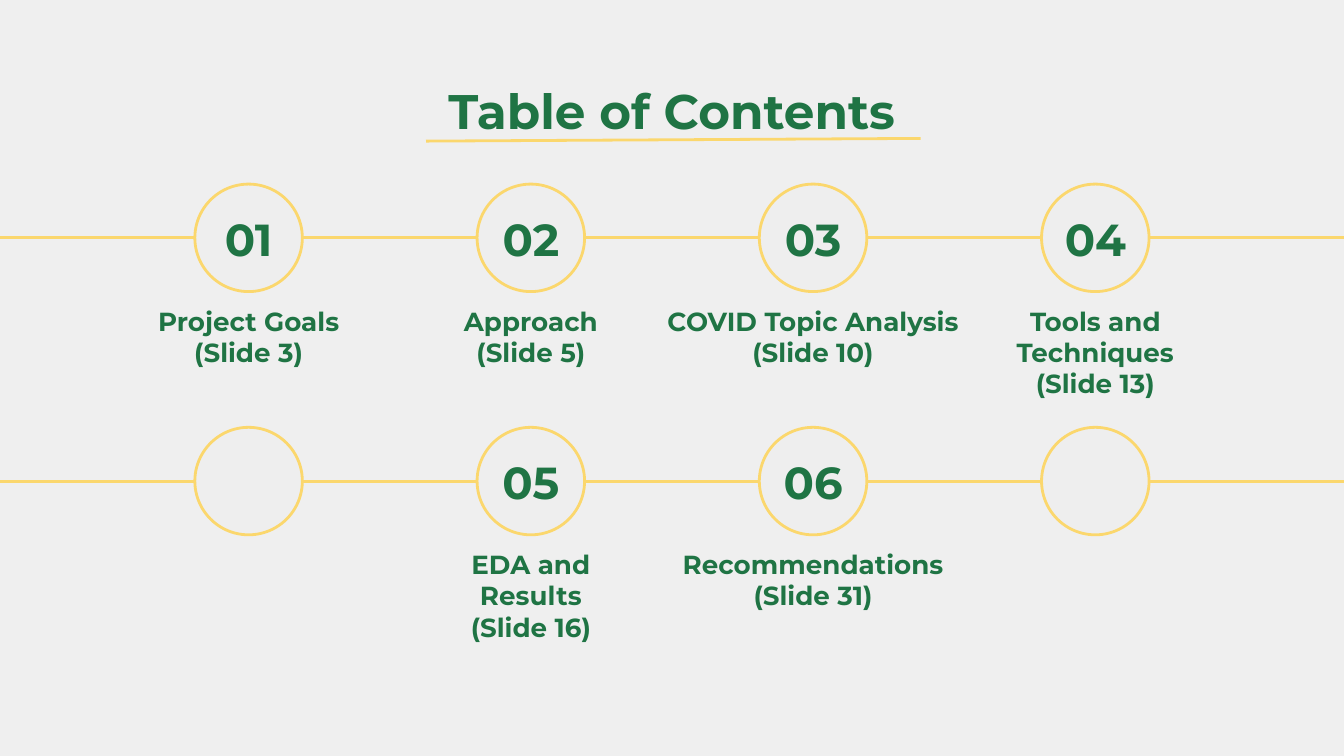
from dataclasses import dataclass

from lxml import etree
from pptx import Presentation
from pptx import util as u
from pptx.dml.color import RGBColor
from pptx.enum import shapes, text
from pptx.oxml import ns

GREEN = RGBColor(0x1F, 0x74, 0x44)
YELLOW = RGBColor(0xFB, 0xD7, 0x6D)
CIRCLE_FILL = RGBColor(0xEE, 0xEE, 0xEE)
BACKGROUND = RGBColor(0xEF, 0xEF, 0xEF)
FONT = "Montserrat"

# Timeline grid, in inches
COLUMN_CENTERS = [1.85 + 2.1 * i for i in range(4)]
ROW_CENTERS = [1.77, 3.58]
DIAMETER = 0.8
LABEL_DROP = 0.4  # from a row's line to the top of its labels


@dataclass
class Entry:
    row: int
    column: int
    number: str
    label: str
    width: float = 1.85
    height: float = 0.63


ENTRIES = [
    Entry(0, 0, "01", "Project Goals\n(Slide 3)"),
    Entry(0, 1, "02", "Approach\n(Slide 5)"),
    Entry(0, 2, "03", "COVID Topic Analysis\n(Slide 10)", 2.51, 0.65),
    Entry(0, 3, "04", "Tools and Techniques\n(Slide 13)", height=0.89),
    Entry(1, 1, "05", "EDA and Results\n(Slide 16)", height=0.89),
    Entry(1, 2, "06", "Recommendations\n(Slide 31)", 2.51, 0.72),
]


def add_line(s, x1: float, y1: float, x2: float, y2: float) -> None:
    line = s.shapes.add_connector(
        shapes.MSO_CONNECTOR.STRAIGHT,
        u.Inches(x1), u.Inches(y1), u.Inches(x2), u.Inches(y2))
    line.line.color.rgb = YELLOW
    line.line.width = u.Pt(1.5)
    etree.SubElement(line._element.spPr, ns.qn("a:effectLst"))


def add_circle(s, cx: float, cy: float) -> None:
    sp = s.shapes.add_shape(
        shapes.MSO_SHAPE.OVAL,
        u.Inches(cx - DIAMETER / 2), u.Inches(cy - DIAMETER / 2),
        u.Inches(DIAMETER), u.Inches(DIAMETER))
    sp.shadow.inherit = False
    sp.fill.solid()
    sp.fill.fore_color.rgb = CIRCLE_FILL
    sp.line.color.rgb = YELLOW
    sp.line.width = u.Pt(1.5)


def add_text(s, words: str, cx: float, top: float, width: float, height: float,
             size: int, anchor=text.MSO_ANCHOR.TOP) -> None:
    sp = s.shapes.add_textbox(u.Inches(cx - width / 2), u.Inches(top),
                              u.Inches(width), u.Inches(height))
    tf = sp.text_frame
    tf.word_wrap = True
    tf.vertical_anchor = anchor
    tf.margin_left = tf.margin_right = u.Inches(0.1)
    tf.margin_top = tf.margin_bottom = u.Inches(0.1)
    tf.text = words
    for p in tf.paragraphs:
        p.alignment = text.PP_ALIGN.CENTER
        for r in p.runs:
            r.font.name = FONT
            r.font.size = u.Pt(size)
            r.font.bold = True
            r.font.color.rgb = GREEN


def add_entry(s, entry: Entry) -> None:
    cx, cy = COLUMN_CENTERS[entry.column], ROW_CENTERS[entry.row]
    add_text(s, entry.number, cx, cy - 0.27, 1.85, 0.55, 24,
             text.MSO_ANCHOR.MIDDLE)
    add_text(s, entry.label, cx, cy + LABEL_DROP, entry.width, entry.height, 14)


def main() -> None:
    # A 16:9 slide
    prs = Presentation()
    prs.slide_width = u.Inches(10)
    prs.slide_height = u.Inches(10 * 9 / 16)
    s = prs.slides.add_slide(prs.slide_layouts[6])
    s.background.fill.solid()
    s.background.fill.fore_color.rgb = BACKGROUND

    # Underlined heading
    add_text(s, "Table of Contents", 5, 0.5, 8.21, 0.63, 26)
    add_line(s, 3.17, 1.05, 6.85, 1.03)

    # Two timelines with their circles
    for cy in ROW_CENTERS:
        add_line(s, -0.02, cy, 10.02, cy)
        for cx in COLUMN_CENTERS:
            add_circle(s, cx, cy)

    # Numbers and labels
    for entry in ENTRIES:
        add_entry(s, entry)

    prs.save("out.pptx")


if __name__ == "__main__":
    main()
